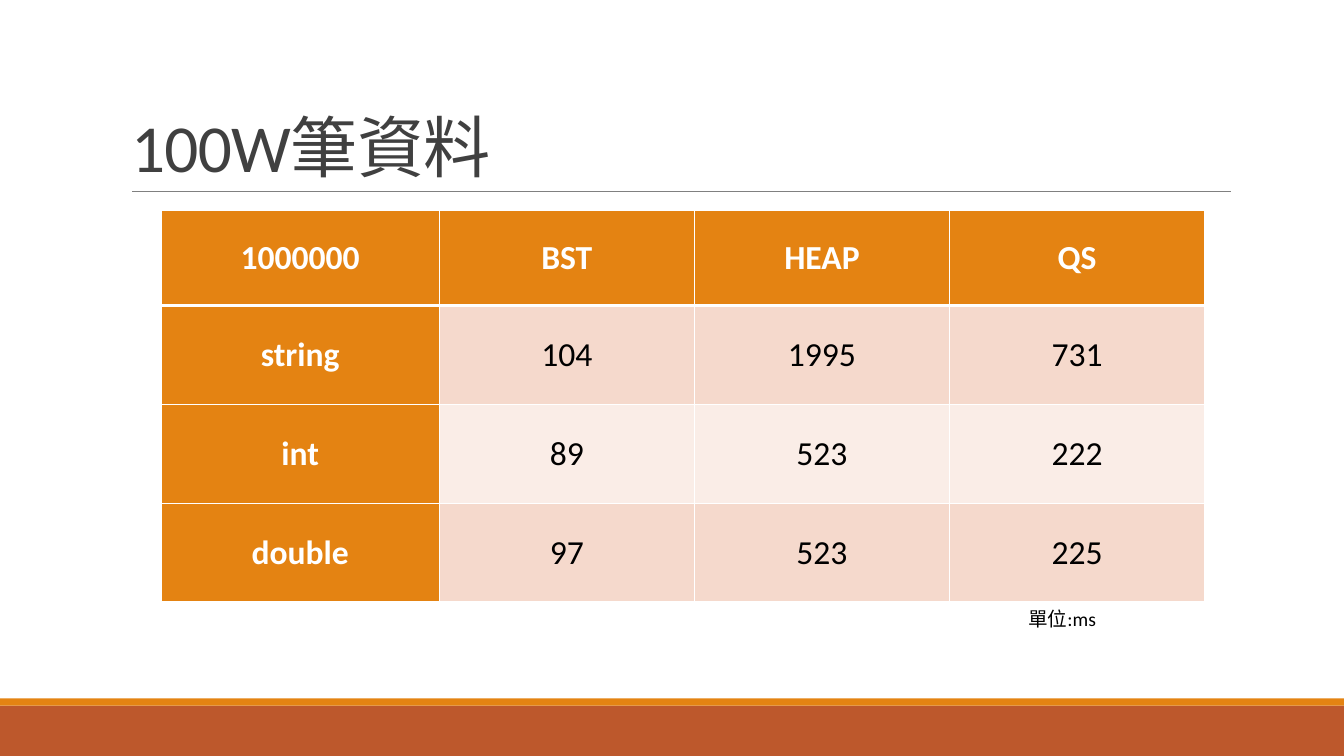
from lxml import etree
from pptx import Presentation
from pptx import util as u
from pptx.dml.color import RGBColor
from pptx.enum import shapes, text
from pptx.oxml.ns import qn

COLORS = {
    "orange": "E48312", "rust": "BD582C", "rule": "808080", "title": "404040",
    "white": "FFFFFF", "black": "000000", "band_dark": "F5D9CC", "band_light": "FAEDE7",
}
TIMINGS = [
    ["1000000", "BST", "HEAP", "QS"],
    ["string", "104", "1995", "731"],
    ["int", "89", "523", "222"],
    ["double", "97", "523", "225"],
]
COLUMN_WIDTHS = [7.01, 6.43, 6.43, 6.43]
ROW_HEIGHTS = [2.39, 2.49, 2.49, 2.49]


def color(name):
    return RGBColor.from_string(COLORS[name])


def write_text(frame, content, size, ink, bold=False, align=text.PP_ALIGN.LEFT,
               anchor=text.MSO_ANCHOR.MIDDLE, line_spacing=None, tracking=None, indent=None):
    frame.word_wrap = True
    frame.vertical_anchor = anchor
    paragraph = frame.paragraphs[0]
    paragraph.alignment = align
    paragraph.line_spacing = line_spacing
    run = paragraph.add_run()
    run.text = content
    run.font.name = "Calibri"
    run.font.size = u.Pt(size)
    run.font.bold = bold
    run.font.color.rgb = color(ink)
    if tracking is not None:
        run.font._element.set("spc", str(int(tracking * 100)))
    if indent is not None:
        paragraph._p.get_or_add_pPr().set("indent", str(u.Cm(indent)))


def add_bar(slide, top, width, height, fill):
    bar = slide.shapes.add_shape(shapes.MSO_SHAPE.RECTANGLE, 0, u.Cm(top), width, u.Cm(height))
    bar.shadow.inherit = False
    bar.fill.solid()
    bar.fill.fore_color.rgb = color(fill)
    bar.line.fill.background()


def add_rule(slide, left, right, top):
    rule = slide.shapes.add_connector(
        shapes.MSO_CONNECTOR.STRAIGHT, u.Cm(left), u.Cm(top), u.Cm(right), u.Cm(top))
    rule.line.color.rgb = color("rule")
    rule.line.width = u.Pt(0.5)
    etree.SubElement(rule._element.spPr, qn("a:effectLst"))


def set_title(slide, content):
    title = slide.shapes.title
    title.left, title.top, title.width, title.height = map(u.Cm, (3.05, 0.79, 27.94, 4.04))
    title.text_frame.auto_size = text.MSO_AUTO_SIZE.NONE
    write_text(title.text_frame, content, size=48, ink="title",
               anchor=text.MSO_ANCHOR.BOTTOM, line_spacing=0.85, tracking=-0.5)


def add_unit_note(slide, content):
    note = slide.shapes.add_textbox(*map(u.Cm, (24.82, 15.16, 6.17, 0.86)))
    note.text_frame.auto_size = text.MSO_AUTO_SIZE.SHAPE_TO_FIT_TEXT
    write_text(note.text_frame, content, size=14, ink="black", indent=0.84)


def set_border(cell, side, points):
    border = etree.SubElement(cell._tc.get_or_add_tcPr(), qn("a:ln" + side), w=str(u.Pt(points)))
    fill = etree.SubElement(border, qn("a:solidFill"))
    etree.SubElement(fill, qn("a:srgbClr"), val=COLORS["white"])


def format_cell(cell, content, row, column):
    is_header = row == 0 or column == 0
    top_width = 3 if row == 1 else 1
    bottom_width = 3 if row == 0 else 1
    for side, points in zip("LRTB", (1, 1, top_width, bottom_width)):
        set_border(cell, side, points)
    band = "band_dark" if row % 2 else "band_light"
    cell.fill.solid()
    cell.fill.fore_color.rgb = color("orange" if is_header else band)
    cell.margin_left = cell.margin_right = u.Cm(0.18)
    cell.margin_top = cell.margin_bottom = 0
    cell.vertical_anchor = text.MSO_ANCHOR.MIDDLE
    write_text(cell.text_frame, content, size=24, ink="white" if is_header else "black",
               bold=is_header, align=text.PP_ALIGN.CENTER)


def add_timing_table(slide):
    frame = slide.shapes.add_table(
        len(TIMINGS), len(TIMINGS[0]), u.Cm(4.06), u.Cm(5.31),
        u.Cm(sum(COLUMN_WIDTHS)), u.Cm(sum(ROW_HEIGHTS)))
    table = frame.table
    for column, width in zip(table.columns, COLUMN_WIDTHS):
        column.width = u.Cm(width)
    for row, height in zip(table.rows, ROW_HEIGHTS):
        row.height = u.Cm(height)
    for row, values in enumerate(TIMINGS):
        for column, value in enumerate(values):
            format_cell(table.cell(row, column), value, row, column)


def main():
    """Build the slide of timings for one million records."""
    presentation = Presentation()
    presentation.slide_width = u.Cm(33.87)
    presentation.slide_height = u.Cm(19.05)
    slide = presentation.slides.add_slide(presentation.slide_layouts.get_by_name("Title Only"))
    add_bar(slide, 17.78, presentation.slide_width, 1.27, "rust")
    add_bar(slide, 17.6, presentation.slide_width, 0.18, "orange")
    add_rule(slide, 3.33, 31.01, 4.83)
    set_title(slide, "100W筆資料")
    add_unit_note(slide, "單位:ms")
    add_timing_table(slide)
    presentation.save("out.pptx")


main()
